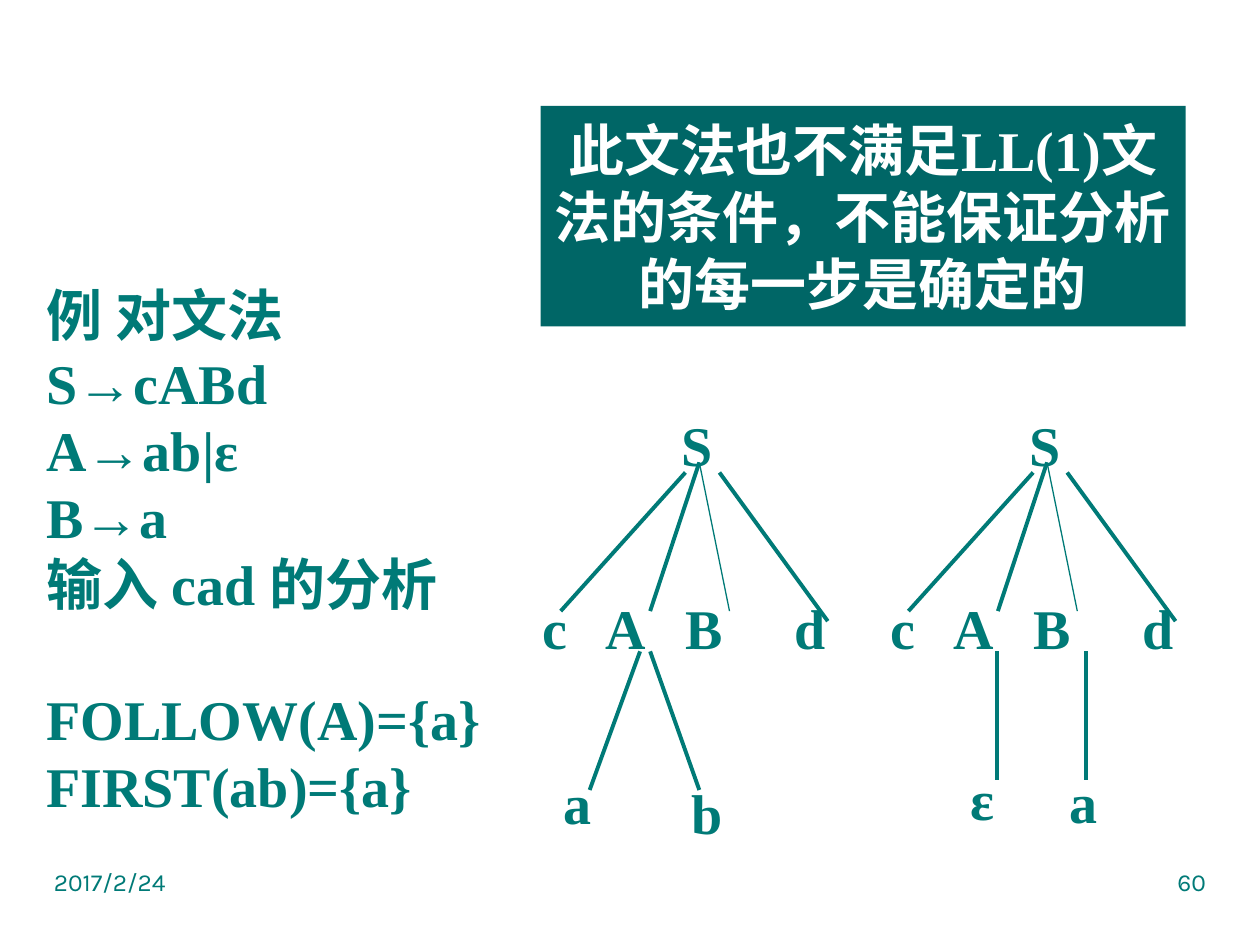
from lxml.etree import SubElement
from pptx import Presentation
from pptx.dml.color import RGBColor
from pptx.enum.shapes import MSO_CONNECTOR as Connector
from pptx.enum.text import MSO_ANCHOR as Anchor, MSO_AUTO_SIZE as AutoSize, PP_ALIGN as Align
from pptx.oxml.ns import qn
from pptx.util import Inches, Pt

TEAL, DARK_TEAL, WHITE = "007A77", "006666", "FFFFFF"
SERIF, SANS = "Times New Roman", "Karla"
TREE_STEP = 2.76


def color(value):
    return RGBColor.from_string(value)


def write_text(frame, lines, size=32, font=SERIF, fill=TEAL, bold=True, align=Align.LEFT,
               spacing=38.4, hanging=0, tabs=(), gaps=None):
    """Fill a text frame; gaps maps a line number to its space before in points."""
    for number, line in enumerate(lines):
        paragraph = frame.paragraphs[0] if number == 0 else frame.add_paragraph()
        paragraph.text = line
        paragraph.alignment = align
        if spacing:
            paragraph.line_spacing = Pt(spacing)
        paragraph.space_before = Pt((gaps or {}).get(number, 0))
        properties = paragraph._p.get_or_add_pPr()
        if hanging:
            properties.set("marL", str(Inches(hanging)))
            properties.set("indent", str(-Inches(hanging)))
        if tabs:
            tab_list = SubElement(properties, qn("a:tabLst"))
            for position in tabs:
                SubElement(tab_list, qn("a:tab"), pos=str(Inches(position)), algn="l")
        paragraph.font.size = Pt(size)
        paragraph.font.name = font
        paragraph.font.bold = bold
        paragraph.font.color.rgb = color(fill)


class SlideBuilder:
    def __init__(self, presentation):
        self.slide = presentation.slides.add_slide(presentation.slide_layouts[5])

    def title(self, text, left, top, width, height):
        shape = self.slide.shapes.title
        shape.left, shape.top = Inches(left), Inches(top)
        shape.width, shape.height = Inches(width), Inches(height)
        shape.fill.solid()
        shape.fill.fore_color.rgb = color(DARK_TEAL)
        frame = shape.text_frame
        frame.auto_size = AutoSize.NONE
        frame.vertical_anchor = Anchor.MIDDLE
        write_text(frame, [text], fill=WHITE, align=Align.CENTER)

    def text(self, lines, left, top, width, height=0.63, wrap=True, **style):
        box = self.slide.shapes.add_textbox(
            Inches(left), Inches(top), Inches(width), Inches(height))
        box.text_frame.word_wrap = wrap
        write_text(box.text_frame, lines, **style)

    def symbol(self, letter, left, top, width=0.42):
        self.text([letter], left, top, width, wrap=False)

    def branch(self, start, end, weight=2.25):
        line = self.slide.shapes.add_connector(
            Connector.STRAIGHT, *(Inches(value) for value in (*start, *end)))
        line.line.color.rgb = color(TEAL)
        line.line.width = Pt(weight)
        SubElement(line._element.spPr, qn("a:effectLst"))

    def tree_top(self, offset):
        """Draw S with its four children, moved right by offset."""
        self.branch((5.44 + offset, 3.75), (4.45 + offset, 4.85))
        self.branch((5.55 + offset, 3.67), (5.16 + offset, 4.85))
        self.branch((5.71 + offset, 3.75), (6.57 + offset, 4.93))
        self.text(["c\tA\tB\td"], 4.21 + offset, 4.66, 2.68, tabs=(0.5, 1.13, 2))
        self.symbol("S", 5.31 + offset, 3.21, 0.45)
        self.branch((5.55 + offset, 3.67), (5.79 + offset, 4.85), 0.75)


def main():
    presentation = Presentation()
    presentation.slide_width, presentation.slide_height = Inches(10), Inches(7.5)
    builder = SlideBuilder(presentation)

    builder.title("此文法也不满足LL(1)文法的条件，不能保证分析的每一步是确定的",
                  4.29, 0.84, 5.12, 1.75)
    grammar = ["例 对文法", "S→cABd", "A→ab|ε", "B→a", "输入 cad 的分析",
               "FOLLOW(A)={a}", "FIRST(ab)={a}"]
    builder.text(grammar, 0.27, 2.18, 3.78, 4.65, hanging=0.38, gaps={5: 38.4})

    footer = dict(size=14, font=SANS, bold=False, spacing=None)
    builder.text(["2017/2/24"], 0.33, 6.83, 2.5, 0.52, **footer)
    builder.text(["60"], 7.17, 6.83, 2.5, 0.52, align=Align.RIGHT, **footer)

    for offset in (0, TREE_STEP):
        builder.tree_top(offset)

    # A derives ab in the left tree
    builder.branch((5.16, 5.17), (5.55, 6.27))
    builder.branch((5.08, 5.17), (4.68, 6.27))
    builder.symbol("b", 5.39, 6.13, 0.45)
    builder.symbol("a", 4.37, 6.05)

    # A derives ε and B derives a in the right tree
    for x in (7.91, 8.62):
        builder.branch((x, 5.17), (x, 6.19))
    builder.symbol("a", 8.39, 6.04)
    builder.symbol("ε", 7.6, 6.02, 0.65)

    presentation.save("out.pptx")


if __name__ == "__main__":
    main()
